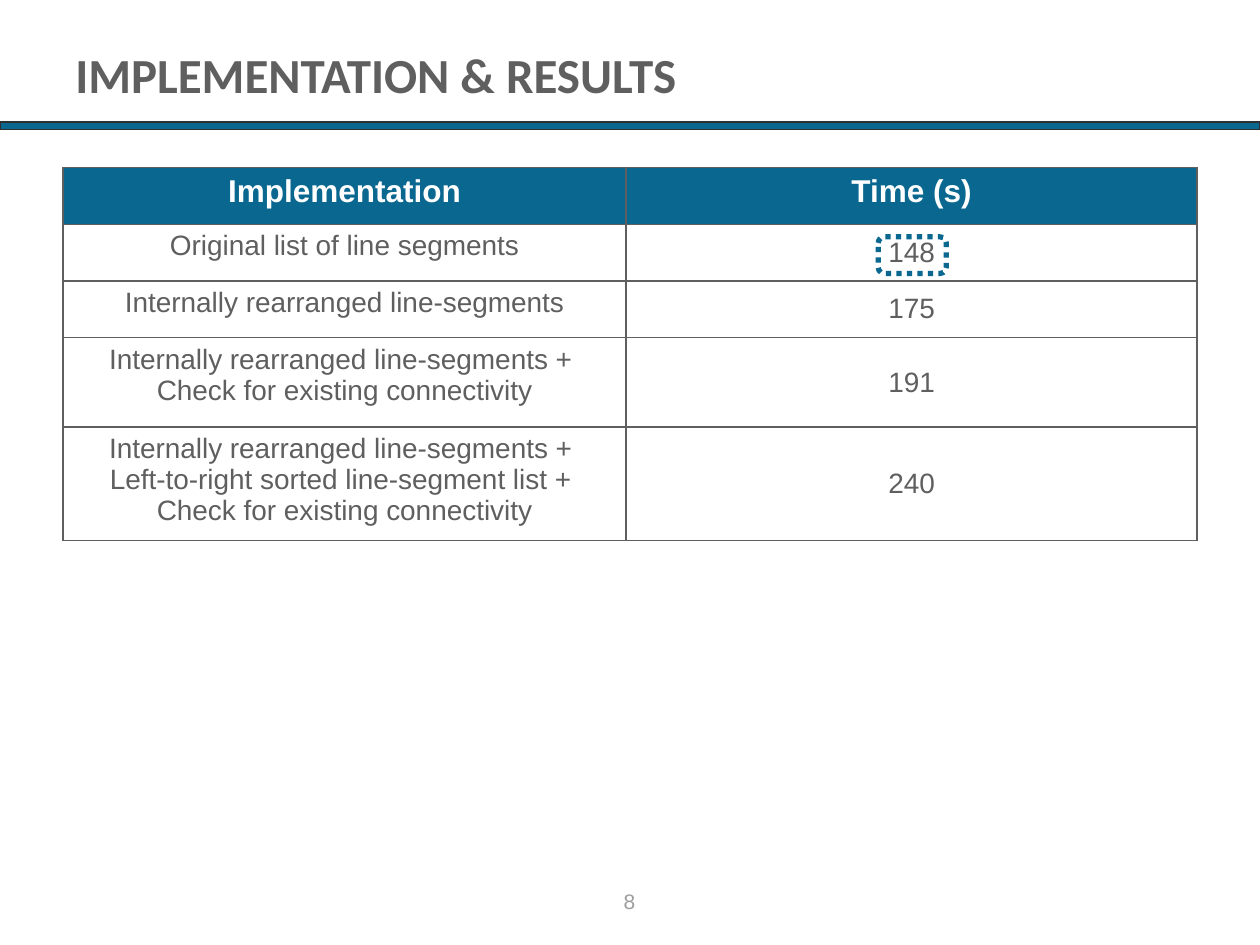
import dataclasses

import pptx
import pptx.dml.color
import pptx.enum.dml
import pptx.enum.shapes
import pptx.enum.text
import pptx.oxml
import pptx.oxml.ns
import pptx.util

Inches = pptx.util.Inches
Pt = pptx.util.Pt
RGBColor = pptx.dml.color.RGBColor
Align = pptx.enum.text.PP_ALIGN
Anchor = pptx.enum.text.MSO_ANCHOR
Shape = pptx.enum.shapes.MSO_SHAPE

BLUE = RGBColor(0x0A, 0x67, 0x90)
GRAY = RGBColor(0x5F, 0x5F, 0x5F)
PALE = RGBColor(0x9D, 0x9D, 0x9D)
DARK = RGBColor(0x30, 0x30, 0x30)
WHITE = RGBColor(0xFF, 0xFF, 0xFF)


@dataclasses.dataclass
class Box:
    left: float
    top: float
    width: float
    height: float

    def place(self) -> tuple:
        return tuple(Inches(v) for v in dataclasses.astuple(self))


@dataclasses.dataclass
class Style:
    size: float
    color: RGBColor
    bold: bool = False
    face: str = "Arial"
    align: Align = Align.CENTER


@dataclasses.dataclass
class Row:
    height: float
    lines: list[str]
    time: str


HEAD = Style(18, WHITE, True)
BODY = Style(16, GRAY)
WIDTHS = [4.47, 4.53]
ROWS = [
    Row(0.45, ["Implementation"], "Time (s)"),
    Row(0.45, ["Original list of line segments"], "148"),
    Row(0.45, ["Internally rearranged line-segments"], "175"),
    Row(0.71, ["Internally rearranged line-segments + ",
               "Check for existing connectivity"], "191"),
    Row(0.71, ["Internally rearranged line-segments + ",
               "Left-to-right sorted line-segment list + ",
               "Check for existing connectivity"], "240"),
]


def write(frame, lines: list[str], style: Style) -> None:
    frame.text = "\n".join(lines)
    for par in frame.paragraphs:
        par.alignment = style.align
        font = par.font
        font.name, font.size, font.bold = style.face, Pt(style.size), style.bold
        font.color.rgb = style.color


def add_text(slide, box: Box, text: str, style: Style, anchor: Anchor) -> None:
    frame = slide.shapes.add_textbox(*box.place()).text_frame
    frame.word_wrap = True
    frame.vertical_anchor = anchor
    write(frame, [text], style)


def add_frame(slide, kind: Shape, box: Box, color: RGBColor, width: float):
    """Add an unfilled, outlined shape."""
    shape = slide.shapes.add_shape(kind, *box.place())
    shape.shadow.inherit = False
    shape.fill.background()
    shape.line.color.rgb = color
    shape.line.width = Pt(width)
    return shape


def add_edges(cell) -> None:
    """Draw all four cell borders; must come before the cell's fill."""
    props = cell._tc.get_or_add_tcPr()
    space = pptx.oxml.ns.nsdecls("a")
    for side in "LRTB":
        props.append(pptx.oxml.parse_xml(
            f'<a:ln{side} {space} w="{Pt(1)}"><a:solidFill>'
            f'<a:srgbClr val="{GRAY}"/></a:solidFill></a:ln{side}>'))


def add_grid(slide, box: Box) -> None:
    table = slide.shapes.add_table(len(ROWS), len(WIDTHS), *box.place()).table
    for col, width in zip(table.columns, WIDTHS):
        col.width = Inches(width)
    for r, row in enumerate(ROWS):
        table.rows[r].height = Inches(row.height)
        for c, lines in enumerate([row.lines, [row.time]]):
            cell = table.cell(r, c)
            add_edges(cell)
            write(cell.text_frame, lines, BODY if r else HEAD)
            if r == 0:
                cell.fill.solid()
                cell.fill.fore_color.rgb = BLUE
            else:
                cell.fill.background()
                if c == 1:
                    cell.vertical_anchor = Anchor.MIDDLE


def main() -> None:
    deck = pptx.Presentation()
    deck.slide_width, deck.slide_height = Inches(10), Inches(7.5)
    slide = deck.slides.add_slide(deck.slide_layouts[6])

    rule = add_frame(slide, Shape.RECTANGLE, Box(0, 0.97, 10, 0.06), DARK, 0.9)
    rule.fill.solid()
    rule.fill.fore_color.rgb = BLUE

    add_text(slide, Box(0.5, 0.08, 9, 0.79), "IMPLEMENTATION & RESULTS",
             Style(28, GRAY, True, "Calibri", Align.LEFT), Anchor.BOTTOM)
    add_text(slide, Box(3.83, 6.95, 2.33, 0.4), "8", Style(12, PALE), Anchor.MIDDLE)
    add_grid(slide, Box(0.5, 1.33, 9, 2.97))

    mark = add_frame(slide, Shape.ROUNDED_RECTANGLE, Box(6.97, 1.88, 0.54, 0.29), BLUE, 3)
    mark.line.dash_style = pptx.enum.dml.MSO_LINE.ROUND_DOT
    deck.save("out.pptx")


if __name__ == "__main__":
    main()
